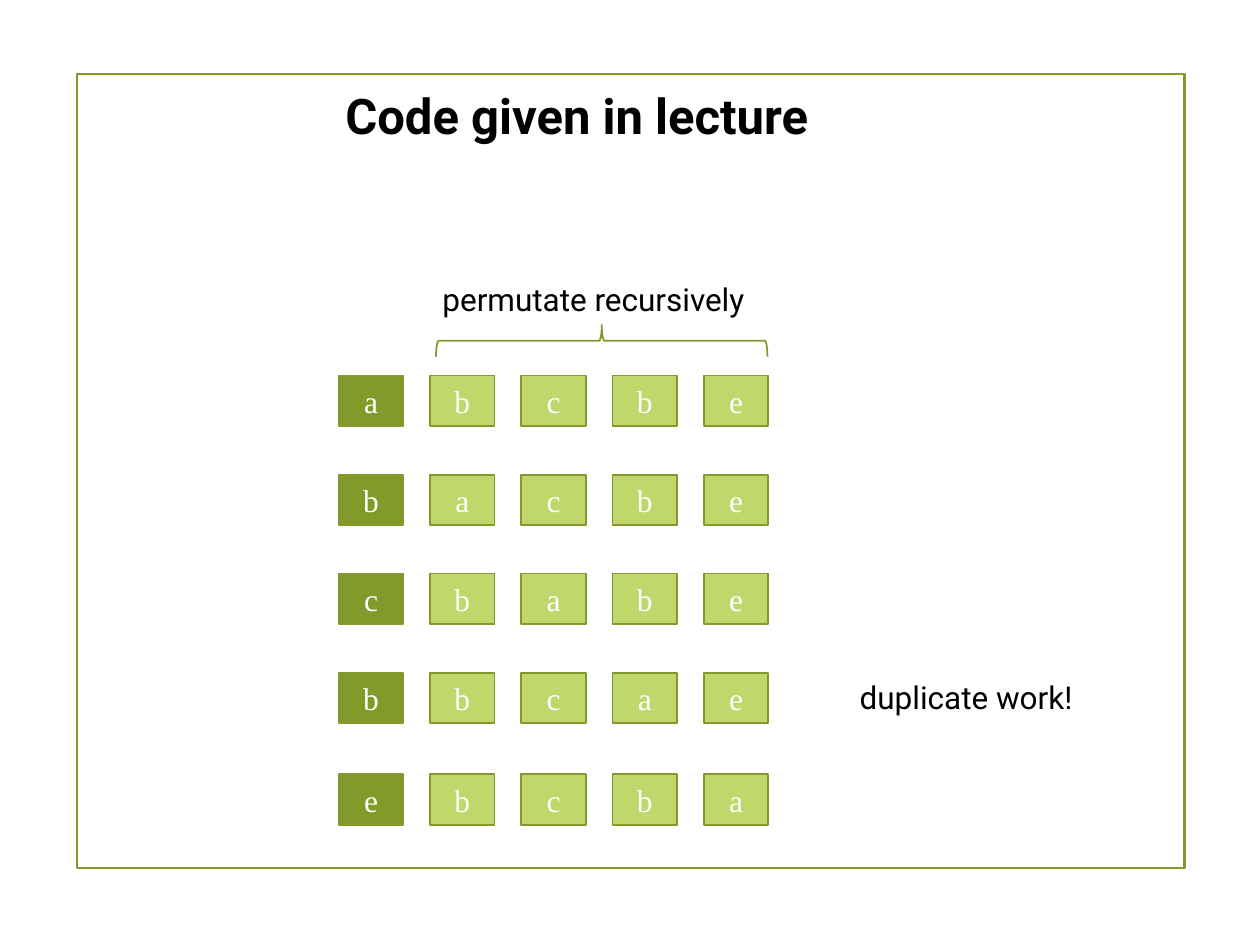
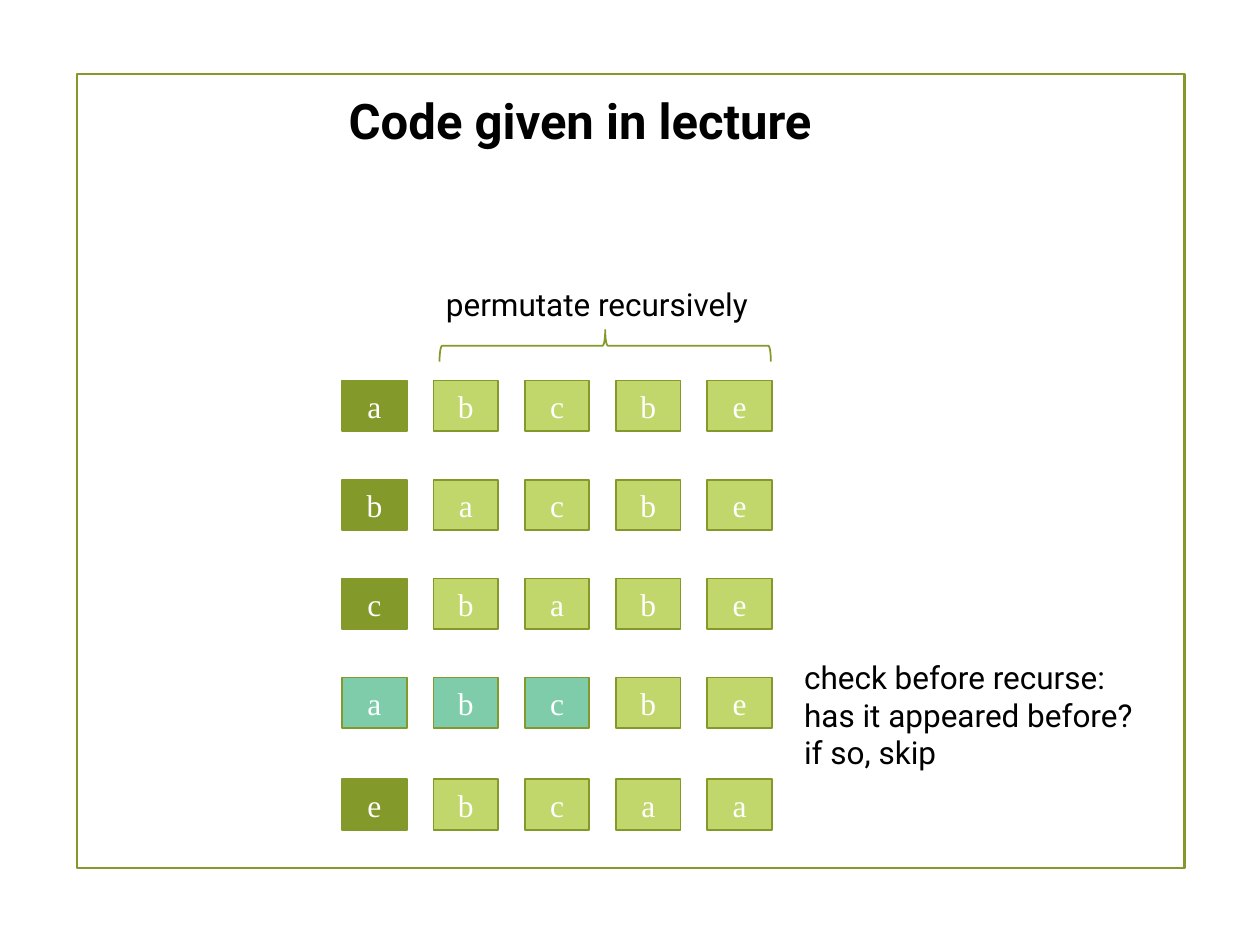
from pptx import Presentation
from pptx.dml.color import RGBColor
from pptx.enum.shapes import MSO_SHAPE
from pptx.enum.text import MSO_ANCHOR, MSO_AUTO_SIZE, PP_ALIGN
from pptx.util import Cm, Pt

RECTANGLE, BRACE = MSO_SHAPE.RECTANGLE, MSO_SHAPE.LEFT_BRACE
TOP, MIDDLE = MSO_ANCHOR.TOP, MSO_ANCHOR.MIDDLE
LEFT, CENTER = PP_ALIGN.LEFT, PP_ALIGN.CENTER
FIT_SHAPE = MSO_AUTO_SIZE.SHAPE_TO_FIT_TEXT

COLORS = {
    "first": "83992A",
    "rest": "C1D66B",
    "checked": "7FCCAB",
    "light": "FFFFFF",
    "dark": "000000",
}
TITLE_ONLY = 5
COLUMN_STEP = 1.84
ROW_OFFSETS = (0, 2, 3.99, 5.99, 8.04)


def color(name):
    """Return the named colour."""
    return RGBColor.from_string(COLORS[name])


def write(shape, text, size=18, font="Roboto", ink="dark", bold=False,
          align=LEFT, anchor=TOP, wrap=False):
    """Fill a shape with formatted text, one paragraph per line."""
    frame = shape.text_frame
    frame.word_wrap = wrap
    frame.auto_size = FIT_SHAPE
    frame.vertical_anchor = anchor
    frame.margin_left = frame.margin_right = Cm(0.13)
    frame.margin_top = frame.margin_bottom = Cm(0.13)
    frame.text = text
    for paragraph in frame.paragraphs:
        paragraph.alignment = align
        paragraph.font.size = Pt(size)
        paragraph.font.name = font
        paragraph.font.bold = bold
        paragraph.font.color.rgb = color(ink)


class Deck:
    """Hold the shared style and the current slide."""

    def __init__(self):
        """Start an empty presentation."""
        self.presentation = Presentation()
        self.presentation.slide_width = Cm(25.4)
        self.presentation.slide_height = Cm(19.05)
        self.slide = None

    def add_slide(self):
        """Add a slide with the green border."""
        layout = self.presentation.slide_layouts[TITLE_ONLY]
        self.slide = self.presentation.slides.add_slide(layout)
        self.shape(RECTANGLE, 1.55, 1.5, 22.33, 16, line_width=1.25)

    def shape(self, kind, left, top, width, height, fill=None, line_width=1):
        """Add an outlined shape and return it."""
        shape = self.slide.shapes.add_shape(
            kind, Cm(left), Cm(top), Cm(width), Cm(height))
        shape.shadow.inherit = False
        shape.line.color.rgb = color("first")
        shape.line.width = Pt(line_width)
        if fill:
            shape.fill.solid()
            shape.fill.fore_color.rgb = color(fill)
        else:
            shape.fill.background()
        return shape

    def title(self, text, left, top):
        """Place the title."""
        title = self.slide.shapes.title
        title.left, title.top = Cm(left), Cm(top)
        title.width, title.height = Cm(9.65), Cm(1.45)
        write(title, text, size=28, bold=True)

    def label(self, text, left, top, width, height=1.02):
        """Add a text label."""
        box = self.slide.shapes.add_textbox(
            Cm(left), Cm(top), Cm(width), Cm(height))
        write(box, text)

    def cell(self, letter, left, top, fill):
        """Add one letter of a permutation."""
        cell = self.shape(RECTANGLE, left, top, 1.3, 1.02, fill)
        write(cell, letter, font="Times New Roman", ink="light",
              align=CENTER, anchor=MIDDLE, wrap=True)

    def permutations(self, words, left, top, checked=()):
        """Add the titled grid of words, with checked cells recoloured."""
        self.add_slide()
        for row, (word, offset) in enumerate(zip(words, ROW_OFFSETS)):
            for column, letter in enumerate(word):
                fill = "rest" if column else "first"
                if (row, column) in checked:
                    fill = "checked"
                self.cell(letter, left + column * COLUMN_STEP, top + offset, fill)
        brace = self.shape(BRACE, left + 4.98, top - 4.04, 0.64, 6.68)
        brace.rotation = 90
        self.label("permutate recursively", left + 1.96, top - 2.06, 6.5)
        self.title("Code given in lecture", left, top - 5.97)


def main():
    """Build both slides and save them."""
    deck = Deck()
    deck.permutations(("abcbe", "bacbe", "cbabe", "bbcae", "ebcba"), 6.83, 7.57)
    deck.label("duplicate work!", 17.2, 13.54, 4.65)

    deck.permutations(("abcbe", "bacbe", "cbabe", "abcbe", "ebcaa"), 6.9, 7.67,
                      checked=((3, 0), (3, 1), (3, 2)))
    deck.label("check before recurse:\nhas it appeared before?\nif so, skip",
               16.08, 13.13, 7.01, 2.57)
    deck.presentation.save("out.pptx")


if __name__ == "__main__":
    main()
